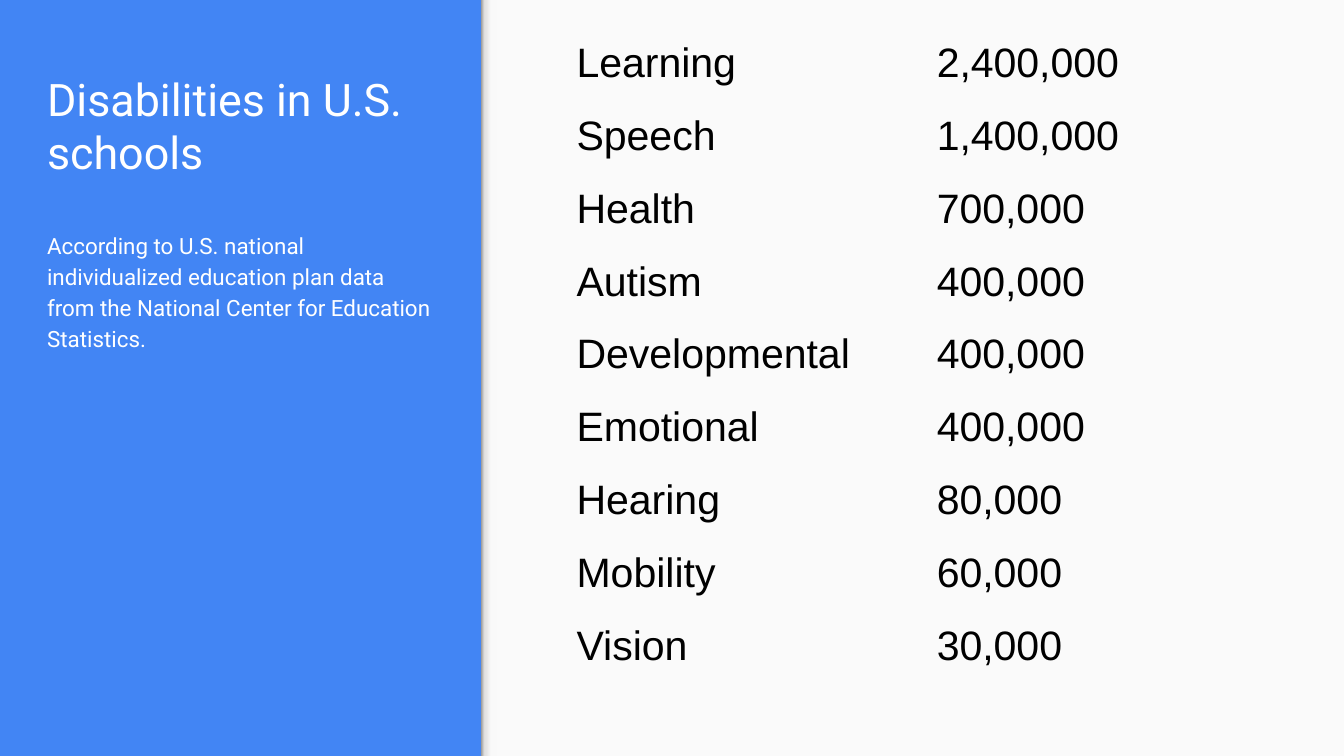
from lxml import etree
from pptx import Presentation
from pptx import util as u
from pptx.dml import color
from pptx.enum import shapes, text
from pptx.oxml import ns


def rgb(value):
    return color.RGBColor.from_string(value)


def set_text(text_frame, content, font_name, size, hex_color):
    text_frame.text = content
    font = text_frame.paragraphs[0].runs[0].font
    font.name = font_name
    font.size = u.Pt(size)
    font.color.rgb = rgb(hex_color)


presentation = Presentation()
presentation.slide_width = u.Inches(10)
presentation.slide_height = u.Inches(10 * 9 / 16)
slide = presentation.slides.add_slide(presentation.slide_layouts[1])
slide.background.fill.solid()
slide.background.fill.fore_color.rgb = rgb("4285F4")

panel = slide.shapes.add_shape(shapes.MSO_SHAPE.RECTANGLE, u.Inches(3.58), 0,
                               u.Inches(6.42), presentation.slide_height)
panel.fill.solid()
panel.fill.fore_color.rgb = rgb("FAFAFA")

edge = slide.shapes.add_shape(shapes.MSO_SHAPE.RECTANGLE, u.Inches(3.58), 0,
                              u.Inches(0.12), presentation.slide_height)
edge.fill.gradient()
edge.fill.gradient_angle = 0
stop_list = edge.fill._fill._gradFill.find(ns.qn("a:gsLst"))
for stop in list(stop_list):
    stop_list.remove(stop)
for position, value in [(0, "999999"), (20, "DEDEDE"), (64, "F9F9F9"), (100, "F9F9F9")]:
    stop = etree.SubElement(stop_list, ns.qn("a:gs"), pos=str(position * 1000))
    etree.SubElement(stop, ns.qn("a:srgbClr"), val=value)

for shape in (panel, edge):
    shape.line.fill.background()
    shape.shadow.inherit = False

title = slide.shapes.title
body = slide.placeholders[1]
for shape, top, height, anchor, size, content in [
    (title, 0.39, 1.04, text.MSO_ANCHOR.BOTTOM, 24, "Disabilities in U.S. schools"),
    (body, 1.6, 3.46, text.MSO_ANCHOR.TOP, 12,
     "According to U.S. national individualized education plan data "
     "from the National Center for Education Statistics."),
]:
    shape.left, shape.top = u.Inches(0.25), u.Inches(top)
    shape.width, shape.height = u.Inches(3.07), u.Inches(height)
    frame = shape.text_frame
    set_text(frame, content, "Roboto", size, "FFFFFF")
    frame.word_wrap = True
    frame.auto_size = text.MSO_AUTO_SIZE.NONE
    frame.vertical_anchor = anchor
    frame.margin_left = frame.margin_right = u.Inches(0.1)
    frame.margin_top = frame.margin_bottom = u.Inches(0.1)
    frame.paragraphs[0].alignment = text.PP_ALIGN.LEFT

paragraph = body.text_frame.paragraphs[0]
paragraph.line_spacing = 1.15
paragraph.space_before = u.Pt(0)
paragraph.space_after = u.Pt(16)
properties = paragraph._p.get_or_add_pPr()
properties.set("marL", "0")
properties.set("indent", "0")
etree.SubElement(properties, ns.qn("a:buNone"))

disabilities = [
    ("Learning", "2,400,000"),
    ("Speech", "1,400,000"),
    ("Health", "700,000"),
    ("Autism", "400,000"),
    ("Developmental", "400,000"),
    ("Emotional", "400,000"),
    ("Hearing", "80,000"),
    ("Mobility", "60,000"),
    ("Vision", "30,000"),
]
row_height = 0.54
table = slide.shapes.add_table(len(disabilities), 2, u.Inches(4.19), u.Inches(0.2),
                               u.Inches(5.36), u.Inches(row_height * len(disabilities))).table
table.first_row = False
table.horz_banding = False
no_grid_style = "{2D5ABB26-0587-4C30-8999-92F81FD0307C}"
table._tbl.tblPr.find(ns.qn("a:tableStyleId")).text = no_grid_style
for column in table.columns:
    column.width = u.Inches(2.68)
for row, values in zip(table.rows, disabilities):
    row.height = u.Inches(row_height)
    for cell, value in zip(row.cells, values):
        set_text(cell.text_frame, value, "Arial", 22, "000000")
        cell.fill.background()
        cell.margin_left = cell.margin_right = u.Inches(0.1)
        cell.margin_top = cell.margin_bottom = u.Inches(0.1)

presentation.save("out.pptx")
